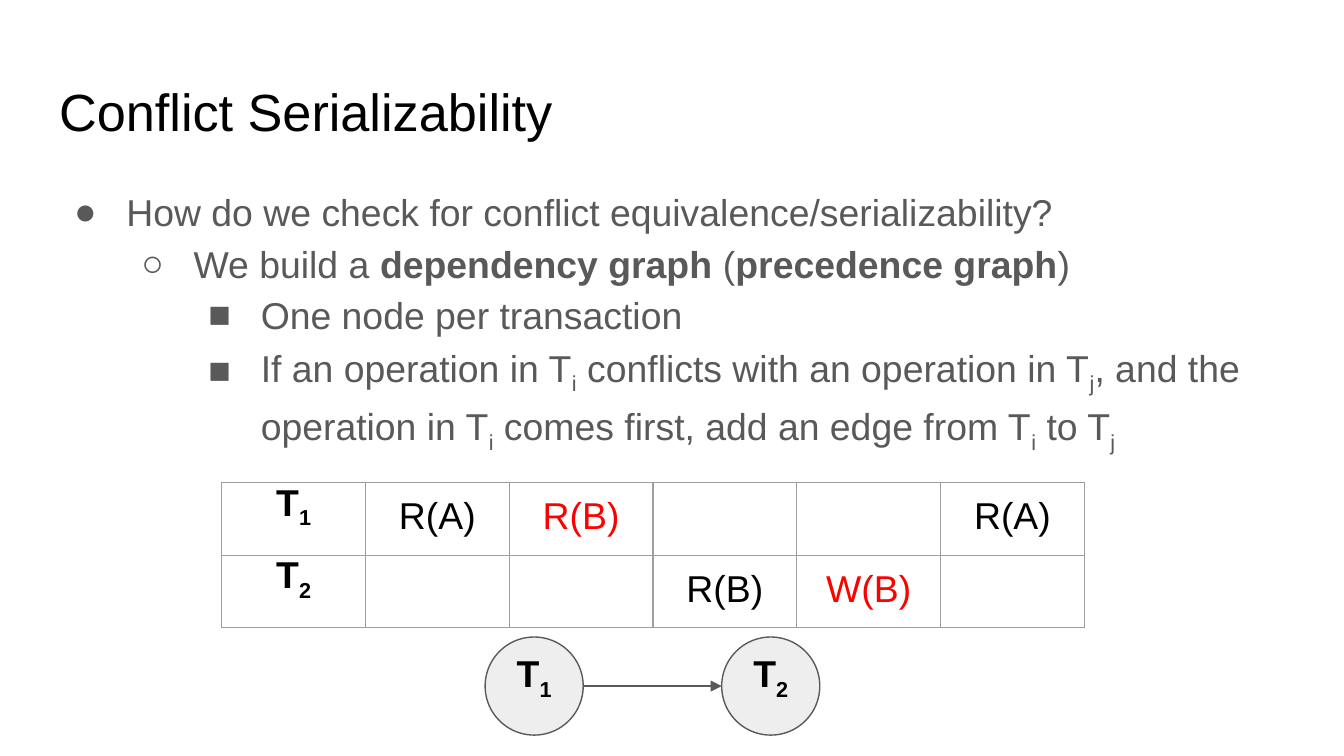
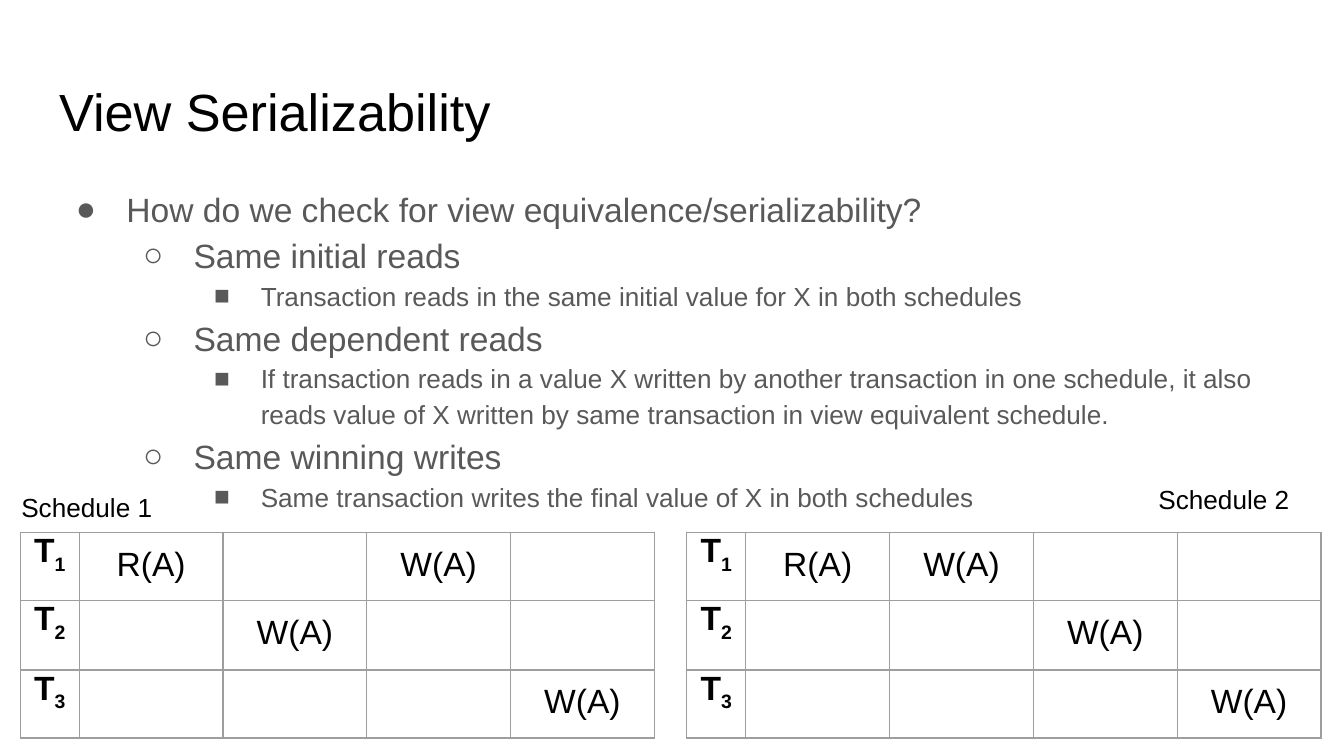
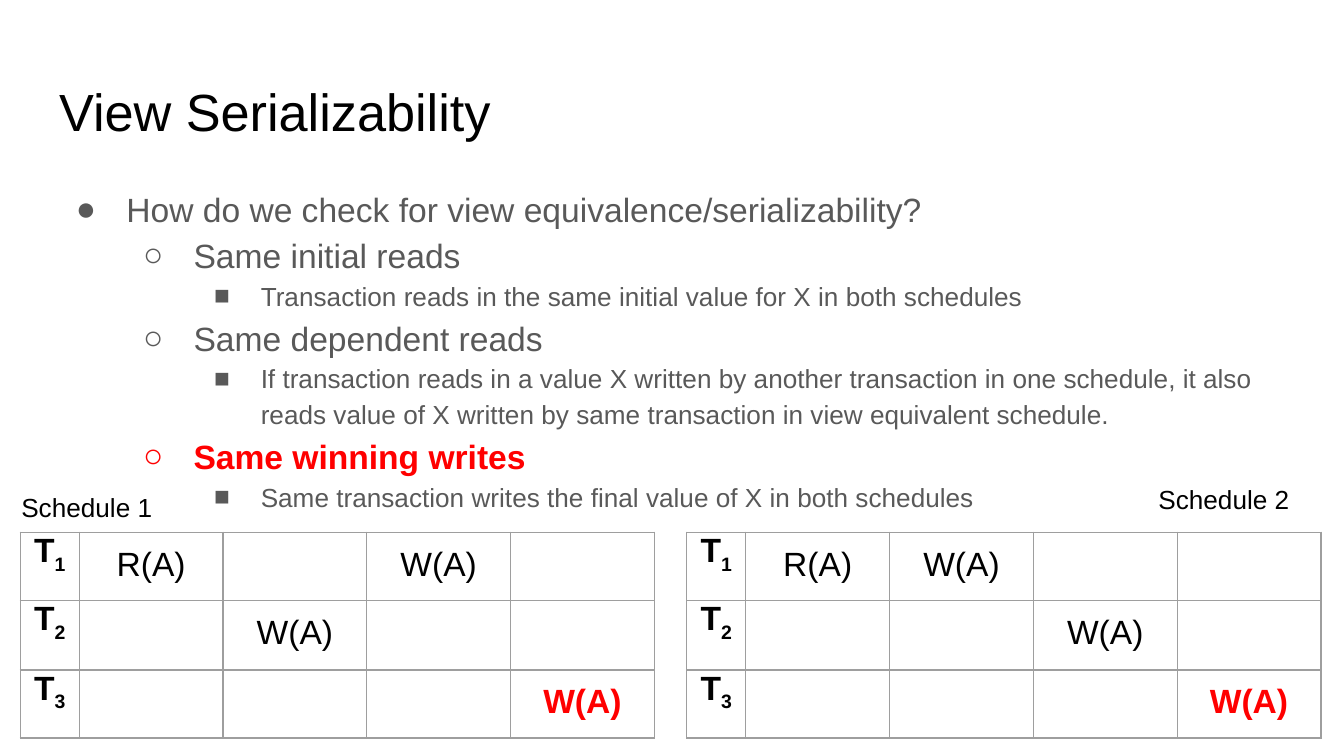
from lxml.etree import SubElement
from pptx import Presentation
from pptx.dml.color import RGBColor
from pptx.enum.shapes import MSO_CONNECTOR, MSO_SHAPE
from pptx.enum.text import MSO_ANCHOR, MSO_AUTO_SIZE, PP_ALIGN
from pptx.oxml.ns import qn
from pptx.util import Inches, Pt

FONT = "Arial"
BLACK = RGBColor(0x00, 0x00, 0x00)
WHITE = RGBColor(0xFF, 0xFF, 0xFF)
GRAY = RGBColor(0x59, 0x59, 0x59)
RED = RGBColor(0xFF, 0x00, 0x00)
NODE_FILL = RGBColor(0xEE, 0xEE, 0xEE)
GRID = RGBColor(0x9E, 0x9E, 0x9E)

BULLETS = "●○■"
OPERATION_WIDTH = 1.07

CONFLICT_POINTS = [
    (0, "How do we check for conflict equivalence/serializability?"),
    (1, "We build a **dependency graph** (**precedence graph**)"),
    (2, "One node per transaction"),
    (2, "If an operation in T_i conflicts with an operation in T_j, and the "
        "operation in T_i comes first, add an edge from T_i to T_j"),
]
CONFLICT_SCHEDULE = [
    ["R(A)", "R(B)", "", "", "R(A)"],
    ["", "", "R(B)", "W(B)", ""],
]
WINNING_WRITES = "Same winning writes"
VIEW_POINTS = [
    (0, "How do we check for view equivalence/serializability?"),
    (1, "Same initial reads"),
    (2, "Transaction reads in the same initial value for X in both schedules"),
    (1, "Same dependent reads"),
    (2, "If transaction reads in a value X written by another transaction in one "
        "schedule, it also reads value of X written by same transaction in view "
        "equivalent schedule."),
    (1, WINNING_WRITES),
    (2, "Same transaction writes the final value of X in both schedules"),
]
VIEW_SCHEDULES = [
    [["R(A)", "", "W(A)", ""], ["", "W(A)", "", ""], ["", "", "", "W(A)"]],
    [["R(A)", "W(A)", "", ""], ["", "", "W(A)", ""], ["", "", "", "W(A)"]],
]


def add_run(paragraph, text, size, color, bold, subscript=False):
    if not text:
        return
    run = paragraph.add_run()
    run.text = text
    run.font.name = FONT
    run.font.size = Pt(size)
    run.font.color.rgb = color
    run.font.bold = bold
    if subscript:
        run.font._element.set("baseline", "-25000")


def write_text(paragraph, text, size=20, color=BLACK, bold=False, align=PP_ALIGN.LEFT):
    """Write text in which **...** is bold and _x sets x as a subscript."""
    paragraph.alignment = align
    for index, part in enumerate(text.split("**")):
        strong = bold or index % 2 == 1
        first, *rest = part.split("_")
        add_run(paragraph, first, size, color, strong)
        for piece in rest:
            add_run(paragraph, piece[0], size, color, strong, subscript=True)
            add_run(paragraph, piece[1:], size, color, strong)


def set_insets(holder, left=0.1, top=0.1, right=0.1, bottom=0.1):
    """Set the margins of a text frame or a table cell."""
    holder.margin_left, holder.margin_top = Inches(left), Inches(top)
    holder.margin_right, holder.margin_bottom = Inches(right), Inches(bottom)


def place(shape, left, top, width, height):
    shape.left, shape.top = Inches(left), Inches(top)
    shape.width, shape.height = Inches(width), Inches(height)


def prepare_frame(shape, auto_size=MSO_AUTO_SIZE.NONE, anchor=MSO_ANCHOR.TOP):
    frame = shape.text_frame
    frame.word_wrap = True
    frame.auto_size = auto_size
    frame.vertical_anchor = anchor
    set_insets(frame)
    return frame


def set_bullet(paragraph, level, size, color):
    paragraph.level = level
    properties = paragraph._p.get_or_add_pPr()
    properties.set("marL", str(Inches(0.5 * (level + 1))))
    properties.set("indent", str(-Inches(0.25) - Pt(size / 2)))
    bullet_color = SubElement(properties, qn("a:buClr"))
    SubElement(bullet_color, qn("a:srgbClr"), val=str(color))
    SubElement(properties, qn("a:buFont"), typeface=FONT)
    SubElement(properties, qn("a:buChar"), char=BULLETS[level])


def add_content_slide(presentation, title, points, sizes, highlighted=None):
    """Add a slide with its title and a list; sizes holds one text size per level."""
    slide = presentation.slides.add_slide(presentation.slide_layouts[1])
    place(slide.shapes.title, 0.34, 0.49, 9.32, 0.63)
    write_text(prepare_frame(slide.shapes.title).paragraphs[0], title, size=28)

    body = slide.placeholders[1]
    place(body, 0.34, 1.26, 9.39, 2.21)
    frame = prepare_frame(body)
    for index, (level, text) in enumerate(points):
        paragraph = frame.add_paragraph() if index else frame.paragraphs[0]
        marked = text == highlighted
        color = RED if marked else GRAY
        paragraph.line_spacing = 1.15
        paragraph.space_before = Pt(0)
        set_bullet(paragraph, level, sizes[level], color)
        write_text(paragraph, text, size=sizes[level], color=color, bold=marked)
    return slide


def set_borders(cell):
    properties = cell._tc.get_or_add_tcPr()
    for index, side in enumerate(("a:lnL", "a:lnR", "a:lnT", "a:lnB")):
        line = properties.makeelement(qn(side), {"w": str(Pt(0.75))})
        fill = SubElement(line, qn("a:solidFill"))
        SubElement(fill, qn("a:srgbClr"), val=str(GRID))
        properties.insert(index, line)


def add_schedule(slide, left, top, schedule, label_width, row_heights, size,
                 highlighted=(), bold_highlight=False):
    """Add a table with one row per transaction; highlighted holds (row, column)."""
    widths = [label_width] + [OPERATION_WIDTH] * len(schedule[0])
    table = slide.shapes.add_table(
        len(schedule), len(widths), Inches(left), Inches(top),
        Inches(sum(widths)), Inches(sum(row_heights))).table
    table.first_row = table.horz_banding = False
    for column, width in zip(table.columns, widths):
        column.width = Inches(width)
    for row_index, operations in enumerate(schedule):
        table.rows[row_index].height = Inches(row_heights[row_index])
        for column_index, text in enumerate([f"T_{row_index + 1}", *operations]):
            cell = table.cell(row_index, column_index)
            is_label = column_index == 0
            marked = (row_index, column_index) in highlighted
            cell.fill.background()
            set_borders(cell)
            set_insets(cell, top=0 if is_label else 0.1)
            if text:
                write_text(cell.text_frame.paragraphs[0], text, size=size,
                           color=RED if marked else BLACK,
                           bold=is_label or (marked and bold_highlight),
                           align=PP_ALIGN.CENTER)
            else:
                SubElement(cell.text_frame.paragraphs[0]._p, qn("a:endParaRPr"),
                           sz=str(size * 100))


def add_edge(shapes, start, end, y):
    edge = shapes.add_connector(
        MSO_CONNECTOR.STRAIGHT, Inches(start), Inches(y), Inches(end), Inches(y))
    edge.line.color.rgb = GRAY
    edge.line.width = Pt(0.75)
    SubElement(edge.line._get_or_add_ln(), qn("a:tailEnd"), type="triangle")
    SubElement(edge._element.spPr, qn("a:effectLst"))


def add_dependency_graph(slide, left, top, diameter=0.73, step=1.76):
    shapes = slide.shapes.add_group_shape().shapes
    for index in range(2):
        node = shapes.add_shape(
            MSO_SHAPE.OVAL, Inches(left + index * step), Inches(top),
            Inches(diameter), Inches(diameter))
        node.shadow.inherit = False
        node.fill.solid()
        node.fill.fore_color.rgb = NODE_FILL
        node.line.color.rgb = GRAY
        node.line.width = Pt(0.75)
        frame = prepare_frame(node, anchor=MSO_ANCHOR.MIDDLE)
        set_insets(frame, top=0.05, bottom=0.2)
        write_text(frame.paragraphs[0], f"T_{index + 1}", bold=True,
                   align=PP_ALIGN.CENTER)
    add_edge(shapes, left + diameter, left + step, top + diameter / 2)


def add_caption(slide, left, top, text):
    box = slide.shapes.add_textbox(
        Inches(left), Inches(top), Inches(1.31), Inches(0.44))
    frame = prepare_frame(box, auto_size=MSO_AUTO_SIZE.SHAPE_TO_FIT_TEXT)
    write_text(frame.paragraphs[0], text, size=14)


def add_conflict_slide(presentation):
    slide = add_content_slide(
        presentation, "Conflict Serializability", CONFLICT_POINTS, (20, 20, 20))
    add_schedule(slide, 1.65, 3.59, CONFLICT_SCHEDULE, OPERATION_WIDTH, (0.5, 0.5),
                 size=20, highlighted={(0, 2), (1, 4)})
    add_dependency_graph(slide, 3.61, 4.74)


def add_view_slide(presentation, show_winner=False):
    slide = add_content_slide(
        presentation, "View Serializability", VIEW_POINTS, (18, 18, 14),
        highlighted=WINNING_WRITES if show_winner else None)
    for left, schedule in zip((0.15, 5.11), VIEW_SCHEDULES):
        add_schedule(slide, left, 3.96, schedule, 0.44, (0.11, 0.52, 0.48), size=18,
                     highlighted={(2, 4)} if show_winner else (),
                     bold_highlight=True)
    add_caption(slide, 0.06, 3.56, "Schedule 1")
    add_caption(slide, 8.52, 3.5, "Schedule 2")


def main():
    presentation = Presentation()
    presentation.slide_width = Inches(10)
    presentation.slide_height = presentation.slide_width * 9 // 16
    background = presentation.slide_master.background.fill
    background.solid()
    background.fore_color.rgb = WHITE
    add_conflict_slide(presentation)
    add_view_slide(presentation)
    add_view_slide(presentation, show_winner=True)
    presentation.save("out.pptx")


if __name__ == "__main__":
    main()
